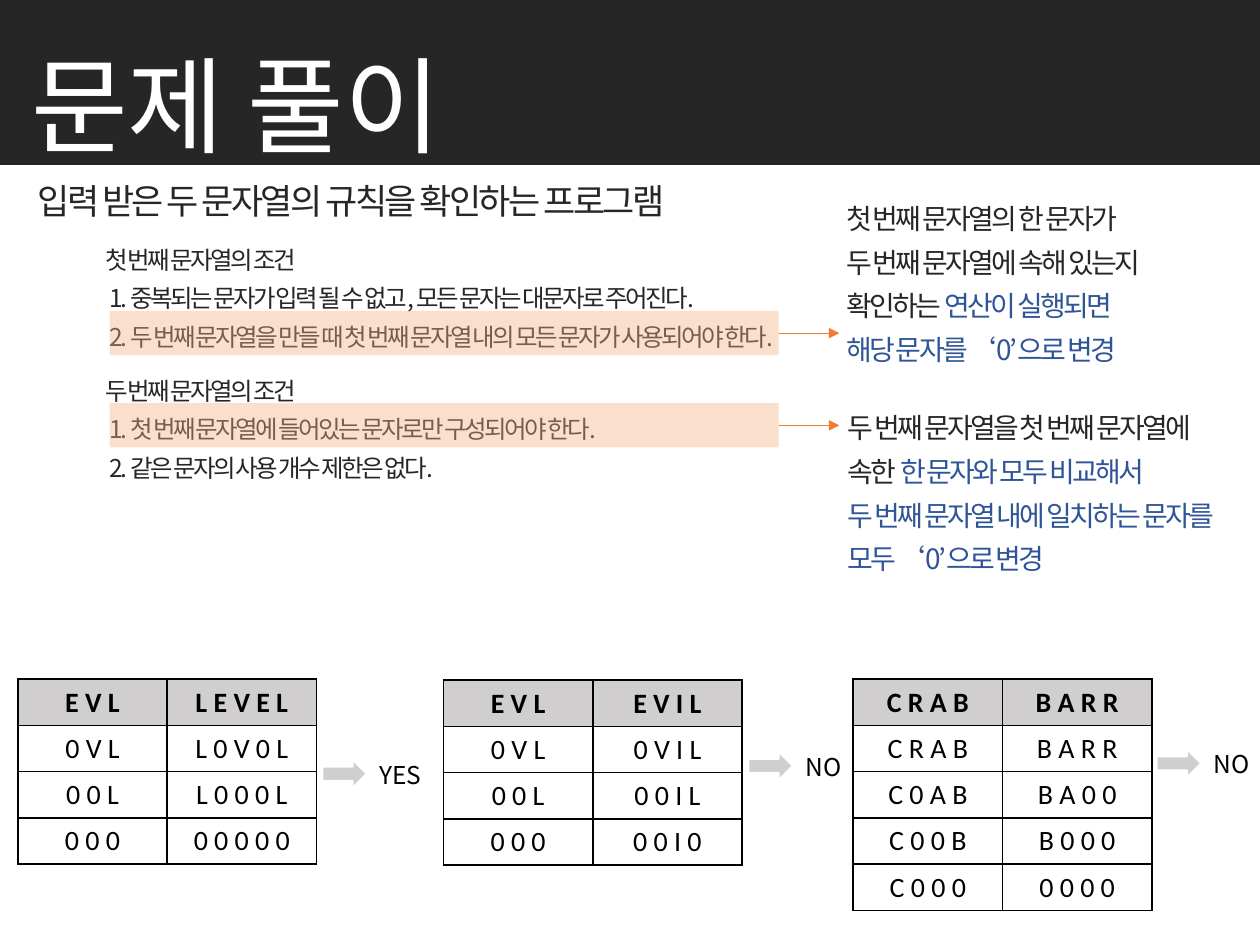
import dataclasses

import pptx
import pptx.dml.color
import pptx.enum.shapes
import pptx.enum.text
import pptx.oxml
import pptx.oxml.ns
import pptx.util
from pptx.util import Cm, Pt

SHAPE = pptx.enum.shapes.MSO_SHAPE
CENTER = pptx.enum.text.PP_ALIGN.CENTER


@dataclasses.dataclass(frozen=True)
class Theme:
    """Colours, fonts and type sizes of the slide."""
    dark: str = "262626"
    white: str = "FFFFFF"
    black: str = "000000"
    blue: str = "2F5597"
    highlight: str = "F4B183"
    orange: str = "ED7D31"
    grey: str = "D0CECE"
    korean: str = "Noto Sans CJK KR"
    latin: str = "Calibri"
    title: int = 60
    lead: int = 20
    note: int = 16
    body: int = 14
    table: int = 16
    tracking: int = -150


THEME = Theme()
LINE_PITCH = {THEME.title: 77, THEME.lead: 31, THEME.note: 25, THEME.body: 22}


def apply_format(target, values):
    """Set every attribute named in values on the target."""
    for name, value in values.items():
        setattr(target, name, value)


def rgb(colour):
    """Turn a hex string into a colour."""
    return pptx.dml.color.RGBColor.from_string(colour)


def add_child(parent, tag, **attributes):
    """Append a DrawingML element with attributes to a parent."""
    child = pptx.oxml.parse_xml(f'<a:{tag} {pptx.oxml.ns.nsdecls("a")}/>')
    for name, value in attributes.items():
        child.set(name, str(value))
    parent.append(child)
    return child


def paint(target, colour):
    """Give a shape, line or cell a solid fill."""
    target.fill.solid()
    target.fill.fore_color.rgb = rgb(colour)


def add_block(slide, preset, box, fill, outline=None, alpha=None):
    """Add a filled preset shape, optionally outlined or transparent."""
    shape = slide.shapes.add_shape(preset, *map(Cm, box))
    shape.shadow.inherit = False
    paint(shape, fill)
    if alpha:
        colour = shape.fill._xPr.find(".//" + pptx.oxml.ns.qn("a:srgbClr"))
        add_child(colour, "alpha", val=alpha * 1000)
    if outline:
        paint(shape.line, outline)
        shape.line.width = Pt(1)
    else:
        shape.line.fill.background()
    return shape


def add_run(paragraph, text, size, colour, tracking=0):
    """Add a run in the Korean typeface."""
    run = paragraph.add_run()
    run.text = text
    apply_format(run.font, {"size": Pt(size), "name": THEME.korean})
    run.font.color.rgb = rgb(colour)
    properties = run.font._element
    add_child(properties, "ea", typeface=THEME.korean)
    if tracking:
        properties.set("spc", str(tracking))


def add_text(slide, box, paragraphs, tracking=0):
    """Add a text box from (runs, size, indent, space before, pitch) paragraphs."""
    frame = slide.shapes.add_textbox(*map(Cm, box)).text_frame
    frame.word_wrap = True
    for index, (runs, size, indent, before, pitch) in enumerate(paragraphs):
        paragraph = frame.add_paragraph() if index else frame.paragraphs[0]
        apply_format(paragraph, {"line_spacing": Pt(pitch), "space_before": Pt(before)})
        if indent is not None:
            properties = paragraph._p.get_or_add_pPr()
            properties.set("marL", str(Cm(1.27)))
            properties.set("indent", str(Cm(indent)))
        for text, colour in runs:
            add_run(paragraph, text, size, colour, tracking)


def plain(text, size, indent=None, before=0):
    """Describe a dark paragraph of one run."""
    return [(text, THEME.dark)], size, indent, before, LINE_PITCH[size]


def add_conditions(slide):
    """Add the problem statement with its two lists of conditions."""
    heading, item = 0.09, 0.18
    add_text(slide, (0.51, 3.25, 15.42, 8.03), [
        plain("입력 받은 두 문자열의 규칙을 확인하는 프로그램", THEME.lead),
        plain("첫 번째 문자열의 조건", THEME.body, heading, 8),
        plain("1. 중복되는 문자가 입력 될 수 없고, 모든 문자는 대문자로 주어진다.", THEME.body, item),
        plain("2. 두 번째 문자열을 만들 때 첫 번째 문자열 내의 모든 문자가 사용되어야 한다.",
              THEME.body, item),
        plain("두 번째 문자열의 조건", THEME.body, heading, 9),
        plain("1. 첫 번째 문자열에 들어있는 문자로만 구성되어야 한다.", THEME.body, item),
        plain("2. 같은 문자의 사용 개수 제한은 없다.", THEME.body, item),
    ], THEME.tracking)


def add_note(slide, highlight_top, box, lines):
    """Highlight a condition and link it to its explanation."""
    highlight = add_block(slide, SHAPE.RECTANGLE, (2.21, highlight_top, 13.49, 0.89),
                          THEME.highlight, alpha=40)
    pitch = LINE_PITCH[THEME.note]
    add_text(slide, box, [(runs, THEME.note, None, 0, pitch) for runs in lines],
             THEME.tracking)
    middle = highlight.top + highlight.height // 2
    connector = slide.shapes.add_connector(
        pptx.enum.shapes.MSO_CONNECTOR.STRAIGHT, Cm(15.7), middle, Cm(16.92), middle)
    connector.begin_connect(highlight, 3)
    paint(connector.line, THEME.orange)
    connector.line.width = Pt(0.5)
    add_child(connector.line._get_or_add_ln(), "tailEnd", type="triangle")
    add_child(connector._element.spPr, "effectLst")


def add_border(cell):
    """Draw a black border on all sides of a cell."""
    properties = cell._tc.get_or_add_tcPr()
    for index, side in enumerate(("lnL", "lnR", "lnT", "lnB")):
        line = add_child(properties, side, w=Pt(1))
        add_child(add_child(line, "solidFill"), "srgbClr", val=THEME.black)
        properties.remove(line)
        properties.insert(index, line)


def add_trace(slide, left, top, rows):
    """Add a table that traces both strings step by step."""
    column, row_height = 3.01, 0.93
    table = slide.shapes.add_table(len(rows), 2, Cm(left), Cm(top), Cm(2 * column),
                                   Cm(row_height * len(rows))).table
    for row_index, row in enumerate(rows):
        for column_index, word in enumerate(row):
            cell = table.cell(row_index, column_index)
            paint(cell, THEME.white if row_index else THEME.grey)
            add_border(cell)
            paragraph = cell.text_frame.paragraphs[0]
            paragraph.alignment = CENTER
            run = paragraph.add_run()
            run.text = " ".join(word)
            apply_format(run.font, {"size": Pt(THEME.table), "name": THEME.latin,
                                    "bold": row_index == 0})
            run.font.color.rgb = rgb(THEME.black)


def add_result(slide, left, top, answer, width):
    """Add an arrow followed by the answer."""
    add_block(slide, SHAPE.RIGHT_ARROW, (left, top, 0.89, 0.56), THEME.grey, THEME.white)
    add_text(slide, (left + 0.9, top - 0.14, width, 0.86),
             [([(answer, THEME.black)], THEME.body, None, 0, 17)])


def main():
    """Build the slide and save it."""
    presentation = pptx.Presentation()
    apply_format(presentation, {"slide_width": Cm(25.4), "slide_height": Cm(19.05)})
    slide = presentation.slides.add_slide(presentation.slide_layouts[6])
    dark, blue = THEME.dark, THEME.blue

    add_block(slide, SHAPE.RECTANGLE, (0, 0, 25.4, 14.96), dark, dark)
    add_block(slide, SHAPE.RECTANGLE, (0, 3.33, 25.4, 15.72), THEME.white)
    add_text(slide, (0.38, 0.51, 24.82, 2.82), [
        ([("문제 풀이", THEME.white)], THEME.title, None, 0, LINE_PITCH[THEME.title])])
    add_conditions(slide)
    add_note(slide, 6.27, (16.81, 3.73, 8.28, 3.81), [
        [("첫 번째 문자열의 한 문자가", dark)],
        [("두 번째 문자열에 속해 있는지 확인하는 ", dark), ("연산이 실행되면", blue)],
        [("해당 문자를 ‘0’으로 변경", blue)]])
    add_note(slide, 8.13, (16.84, 7.95, 7.92, 3.81), [
        [("두 번째 문자열을 첫 번째 문자열에 속한 ", dark), ("한 문자와 모두 비교해서", blue)],
        [("두 번째 문자열 내에 일치하는 문자를 모두 ‘0’으로 변경", blue)]])

    add_trace(slide, 0.36, 13.69, [
        ("EVL", "LEVEL"), ("0VL", "L0V0L"), ("00L", "L000L"), ("000", "00000")])
    add_trace(slide, 8.94, 13.71, [
        ("EVL", "EVIL"), ("0VL", "0VIL"), ("00L", "00IL"), ("000", "00I0")])
    add_trace(slide, 17.2, 13.69, [
        ("CRAB", "BARR"), ("CRAB", "BARR"), ("C0AB", "BA00"), ("C00B", "B000"),
        ("C000", "0000")])
    add_result(slide, 6.5, 15.32, "YES", 2.34)
    add_result(slide, 15.09, 15.16, "NO", 2.34)
    add_result(slide, 23.32, 15.11, "NO", 1.35)
    presentation.save("out.pptx")


if __name__ == "__main__":
    main()
